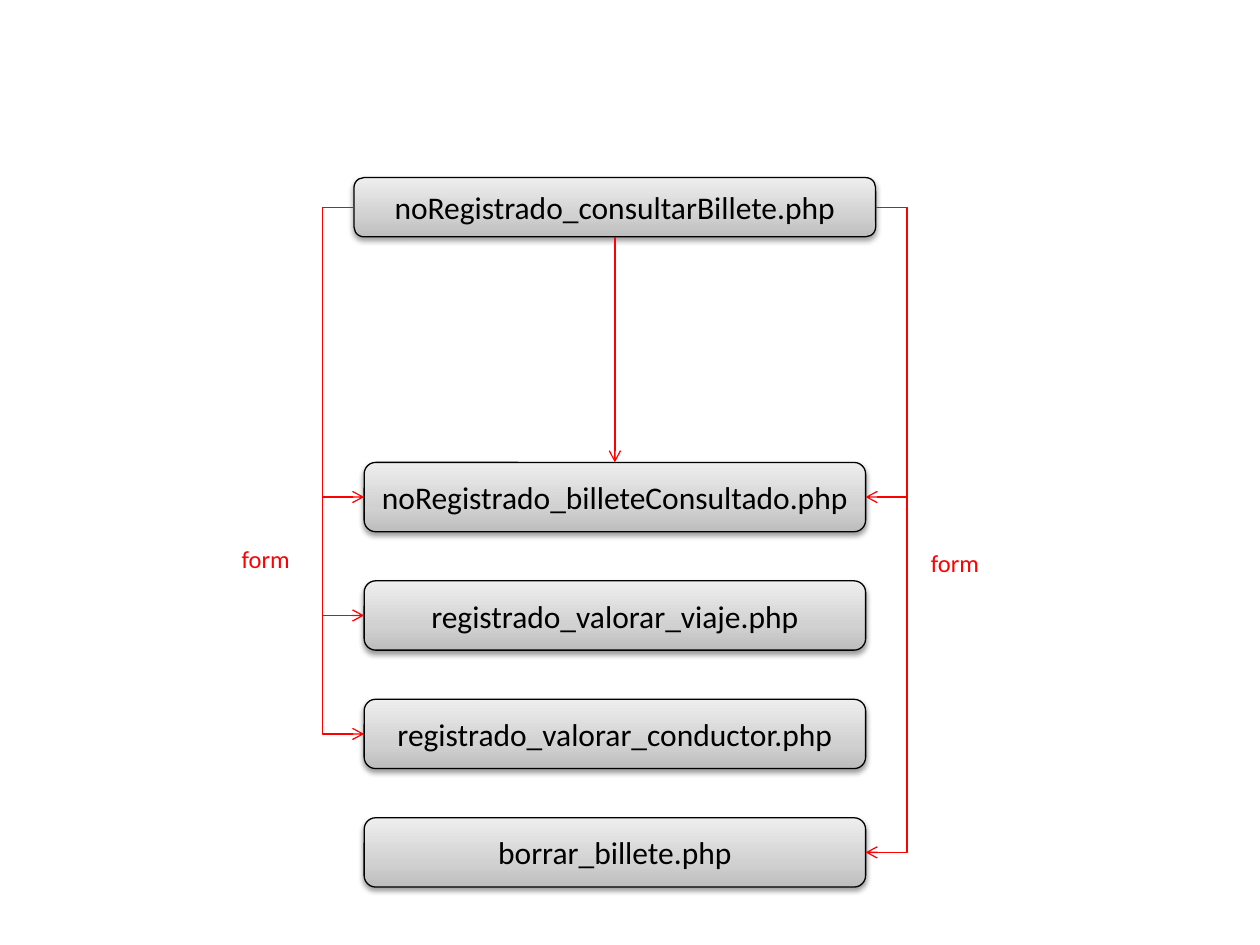
from dataclasses import dataclass

from lxml import etree
from pptx import Presentation
from pptx import util as u
from pptx.dml.color import RGBColor
from pptx.enum import shapes, text
from pptx.oxml.ns import qn

PX = u.Inches(1) // 100  # 100 px to the inch
TOP, LEFT, BOTTOM, RIGHT = range(4)  # connection sites of a box


@dataclass(frozen=True)
class Theme:
    font: str = "Calibri"
    box_size: int = 18
    label_size: int = 14
    ink: str = "000000"
    accent: str = "FF0000"
    gradient: tuple = ((0, "BDBDBD"), (35, "D1D1D1"), (100, "EEEEEE"))
    line_width: float = 0.75


def add_color(parent, value):
    return etree.SubElement(parent, qn("a:srgbClr"), val=value)


class Diagram:
    def __init__(self, slide, theme):
        self.slide = slide
        self.theme = theme

    def set_text(self, shape, words, size, color):
        frame = shape.text_frame
        frame.word_wrap = True
        frame.text = words
        paragraph = frame.paragraphs[0]
        paragraph.alignment = text.PP_ALIGN.CENTER
        paragraph.font.name = self.theme.font
        paragraph.font.size = u.Pt(size)
        paragraph.font.color.rgb = RGBColor.from_string(color)

    def outline(self, shape, color):
        shape.line.color.rgb = RGBColor.from_string(color)
        shape.line.width = u.Pt(self.theme.line_width)

    def box(self, words, left, top, width, height):
        shape = self.slide.shapes.add_shape(
            shapes.MSO_SHAPE.ROUNDED_RECTANGLE,
            left * PX, top * PX, width * PX, height * PX)
        self.outline(shape, self.theme.ink)
        self.set_text(shape, words, self.theme.box_size, self.theme.ink)
        shape.text_frame.vertical_anchor = text.MSO_ANCHOR.MIDDLE

        # Gradient from dark at the bottom to light at the top
        shape.fill.gradient()
        shape.fill.gradient_angle = 90
        stops = shape._element.spPr.find(".//" + qn("a:gsLst"))
        stops.clear()
        for percent, color in self.theme.gradient:
            add_color(etree.SubElement(stops, qn("a:gs"), pos=str(percent * 1000)), color)

        # Soft shadow straight below
        shape.shadow.inherit = False
        effects = shape._element.spPr.find(qn("a:effectLst"))
        shadow = etree.SubElement(effects, qn("a:outerShdw"), blurRad="40000",
                                  dist="20000", dir="5400000", rotWithShape="0")
        etree.SubElement(add_color(shadow, self.theme.ink), qn("a:alpha"), val="38000")
        return shape

    def label(self, words, left, top, width, height):
        shape = self.slide.shapes.add_textbox(left * PX, top * PX, width * PX, height * PX)
        self.set_text(shape, words, self.theme.label_size, self.theme.accent)
        shape.text_frame.auto_size = text.MSO_AUTO_SIZE.SHAPE_TO_FIT_TEXT

    def arrow(self, source, source_site, target, target_site, reach=0):
        """Join two boxes; with a reach, bend that many px out from the source."""
        kind = shapes.MSO_CONNECTOR.ELBOW if reach else shapes.MSO_CONNECTOR.STRAIGHT
        connector = self.slide.shapes.add_connector(kind, 0, 0, 0, 0)
        connector.begin_connect(source, source_site)
        connector.end_connect(target, target_site)
        self.outline(connector, self.theme.accent)
        properties = connector._element.spPr
        etree.SubElement(properties.find(qn("a:ln")), qn("a:tailEnd"), type="arrow")
        etree.SubElement(properties, qn("a:effectLst"))
        if reach:
            bend = round(-reach * PX / connector.width * 100000)
            guides = properties.find(qn("a:prstGeom")).get_or_add_avLst()
            etree.SubElement(guides, qn("a:gd"), name="adj1", fmla=f"val {bend}")


def main():
    presentation = Presentation()
    presentation.slide_width, presentation.slide_height = 1000 * PX, 750 * PX
    slide = presentation.slides.add_slide(presentation.slide_layouts[6])
    diagram = Diagram(slide, Theme())

    # Boxes: the query page, then the pages reached from it
    query = diagram.box("noRegistrado_consultarBillete.php", 281, 141, 414, 47)
    names = ("noRegistrado_billeteConsultado.php", "registrado_valorar_viaje.php",
             "registrado_valorar_conductor.php", "borrar_billete.php")
    result, trip, driver, delete = [
        diagram.box(name, 289, 367 + 94 * row, 398, 55) for row, name in enumerate(names)]

    # Form routes on both sides
    for target in (delete, result):
        diagram.arrow(query, RIGHT, target, RIGHT, reach=25)
    for target in (trip, driver, result):
        diagram.arrow(query, LEFT, target, LEFT, reach=25)
    diagram.label("form", 133, 427, 156, 34)
    diagram.label("form", 680, 430, 156, 34)

    # Direct route
    diagram.arrow(query, BOTTOM, result, TOP)

    presentation.save("out.pptx")


if __name__ == "__main__":
    main()
